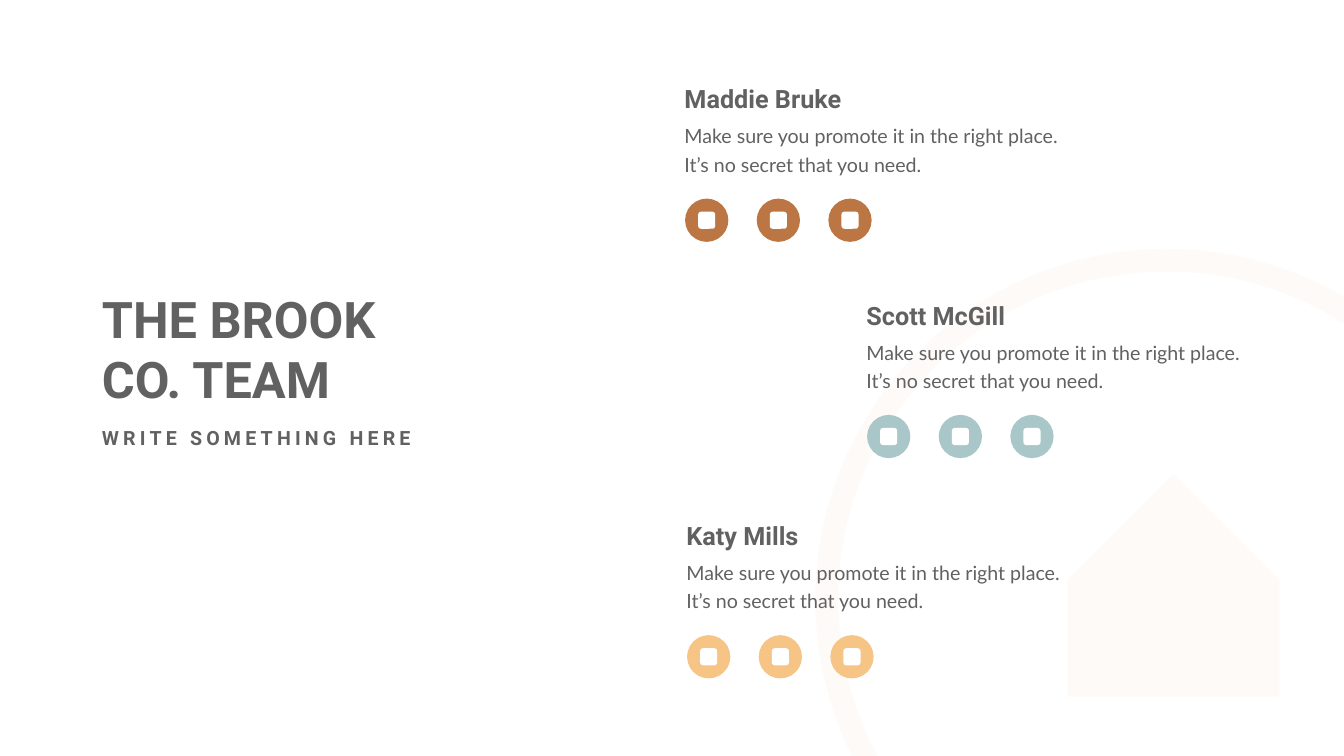
from lxml.etree import SubElement
from pptx import Presentation
from pptx.dml.color import RGBColor
from pptx.enum.shapes import MSO_SHAPE
from pptx.enum.text import MSO_ANCHOR, MSO_AUTO_SIZE, PP_ALIGN
from pptx.oxml.ns import qn
from pptx.util import Cm, Pt

COLORS = {
    "text": "606160",
    "emblem": "F4893A",
    "mark": "FFFFFF",
    "copper": "BB7644",
    "teal": "A9C7C9",
    "amber": "F6C485",
}

FONTS = {
    "title": {"name": "Roboto", "size": Pt(72), "bold": True},
    "subtitle": {"name": "Roboto", "size": Pt(28), "bold": True},
    "name": {"name": "Roboto", "size": Pt(36), "bold": True},
    "description": {"name": "Lato", "size": Pt(28), "bold": False},
}

DESCRIPTION = "Make sure you promote it in the right place. It’s no secret that you need."

# Name, colour, left and top in centimetres
MEMBERS = [
    ("Maddie Bruke", "copper", 34.24, 4.09),
    ("Scott McGill", "teal", 43.41, 14.99),
    ("Katy Mills", "amber", 34.34, 26.09),
]


def rgb(color):
    return RGBColor.from_string(COLORS[color])


def fill_text(box, lines, style, line_spacing=None):
    frame = box.text_frame
    frame.word_wrap = True
    frame.auto_size = MSO_AUTO_SIZE.NONE
    frame.vertical_anchor = MSO_ANCHOR.TOP
    frame.text = "\n".join(lines)
    for para in frame.paragraphs:
        para.alignment = PP_ALIGN.LEFT
        para.space_before = Pt(0)
        para.line_spacing = line_spacing
        for span in para.runs:
            for key, value in FONTS[style].items():
                setattr(span.font, key, value)
            span.font.color.rgb = rgb("text")


def place(box, left, top, width, height):
    box.left, box.top, box.width, box.height = map(Cm, (left, top, width, height))


def add_text(page, bounds, lines, style, line_spacing=None):
    box = page.shapes.add_textbox(*map(Cm, bounds))
    fill_text(box, lines, style, line_spacing)


def add_solid(page, kind, bounds, color):
    shape = page.shapes.add_shape(kind, *map(Cm, bounds))
    shape.shadow.inherit = False
    shape.fill.solid()
    shape.fill.fore_color.rgb = rgb(color)
    shape.line.fill.background()
    return shape


def make_faint(shape, percent):
    for color in shape._element.spPr.iter(qn("a:srgbClr")):
        SubElement(color, qn("a:alpha")).set("val", str(percent * 1000))


def add_emblem(page, left, top, size):
    """Faint house inside a ring that runs off the lower right corner."""
    house_bounds = (left + 11.86, top + 11.05, 11.23, 10.67)
    house = add_solid(page, MSO_SHAPE.PENTAGON, house_bounds, "emblem")
    house.rotation = 270
    ring = add_solid(page, MSO_SHAPE.OVAL, (left, top, size, size), "emblem")
    ring.fill.background()
    ring.line.color.rgb = rgb("emblem")
    ring.line.width = Pt(32.5)
    for shape in (house, ring):
        make_faint(shape, 4)


def add_heading(page, left, top):
    title, subtitle = page.placeholders
    place(title, left, top, 15.16, 6.4)
    fill_text(title, ["THE BROOK", "CO. TEAM"], "title")
    place(subtitle, left, top + 6.96, 16.28, 1.45)
    fill_text(subtitle, ["WRITE SOMETHING HERE"], "subtitle")
    span = subtitle.text_frame.paragraphs[0].runs[0]
    span.font._element.set("spc", "600")


def add_social_buttons(page, left, top, color):
    diameter, pitch, mark = 2.18, 3.61, 0.86
    inset = (diameter - mark) / 2
    for index in range(3):
        x = left + index * pitch
        add_solid(page, MSO_SHAPE.OVAL, (x, top, diameter, diameter), color)
        mark_bounds = (x + inset, top + inset, mark, mark)
        add_solid(page, MSO_SHAPE.ROUNDED_RECTANGLE, mark_bounds, "mark")


def add_member(page, name, color, left, top):
    add_text(page, (left, top + 1.79, 19.53, 3.05), [DESCRIPTION], "description", Pt(40.8))
    add_text(page, (left, top, 12.22, 1.8), [name], "name")
    add_social_buttons(page, left + 0.28, top + 5.92, color)


def main():
    deck = Presentation()
    deck.slide_width, deck.slide_height = Cm(67.72), Cm(38.1)
    page = deck.slides.add_slide(deck.slide_layouts[0])
    add_emblem(page, 41.66, 13.11, 34.24)
    for member in MEMBERS:
        add_member(page, *member)
    add_heading(page, 4.88, 14.38)
    deck.save("out.pptx")


if __name__ == "__main__":
    main()
